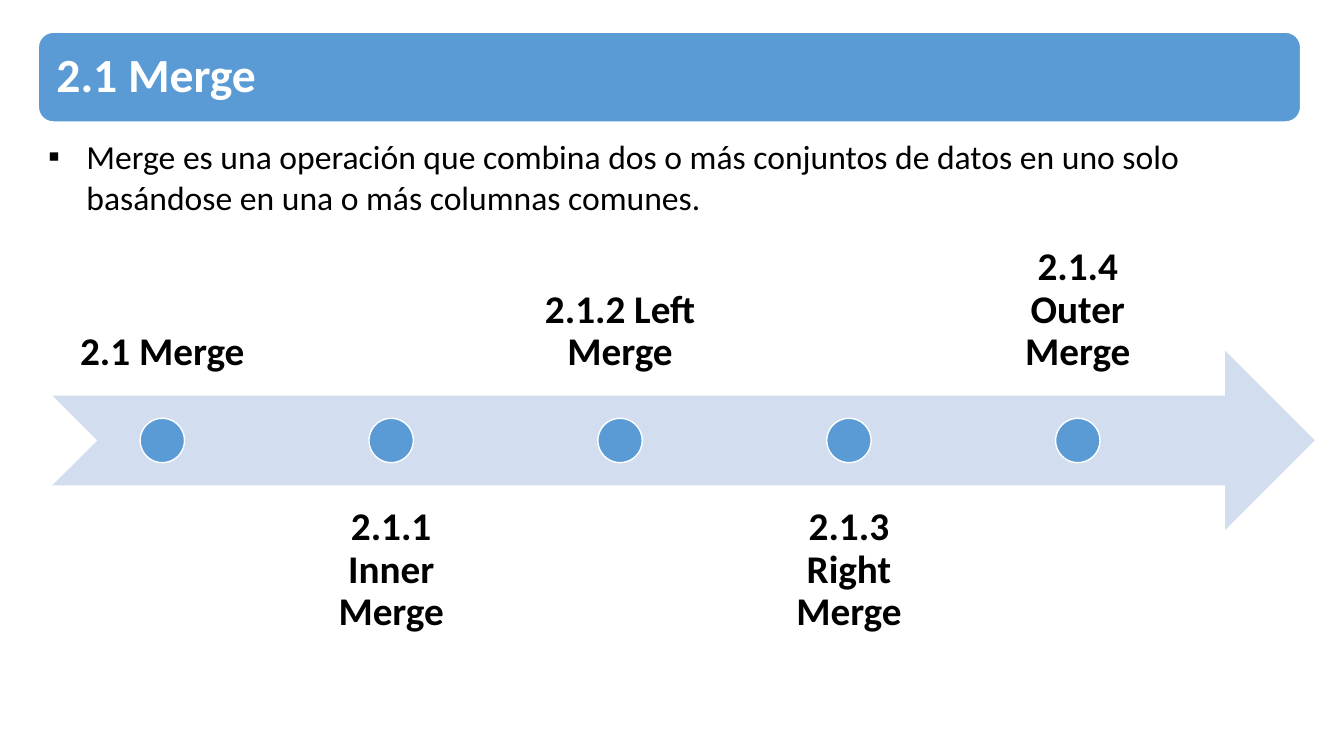
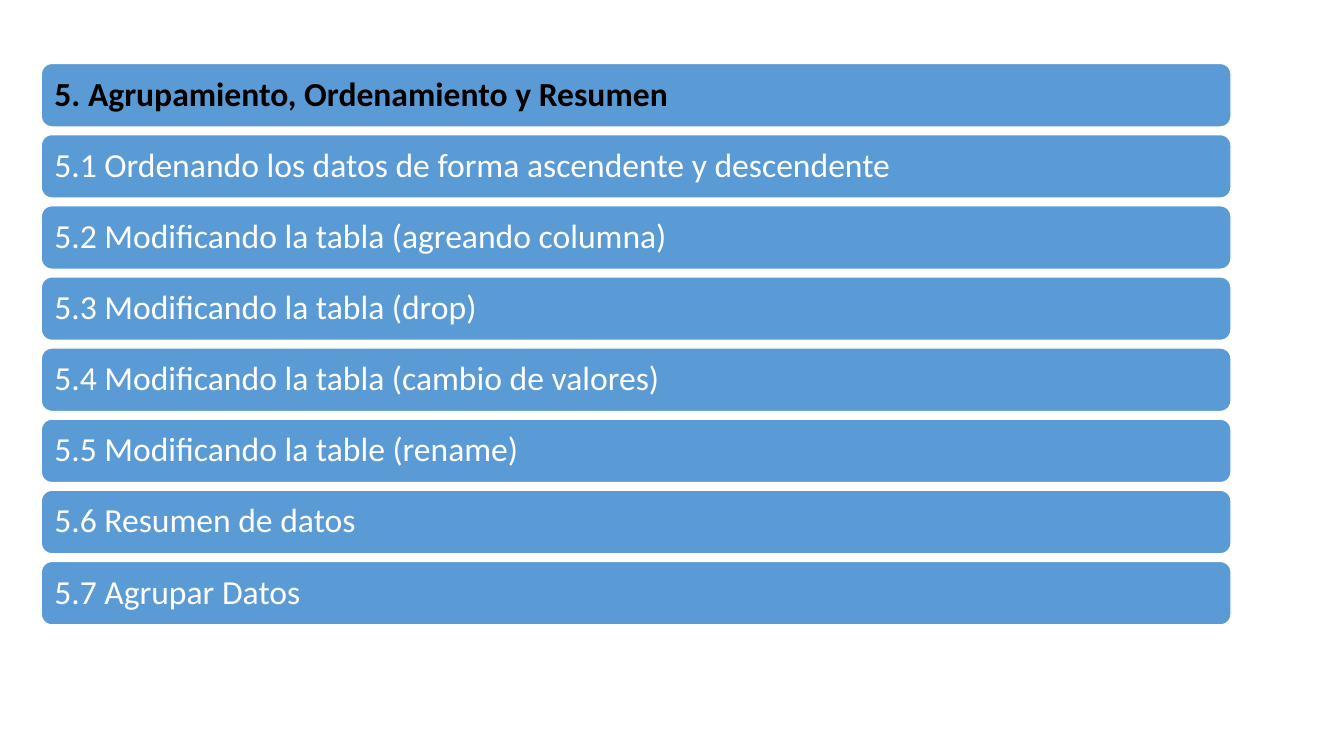
from pptx import Presentation
from pptx.util import Inches, Pt
from pptx.dml.color import RGBColor as RGB
from pptx.enum.shapes import MSO_SHAPE as Shape
from pptx.enum.text import PP_ALIGN as Align, MSO_ANCHOR as Anchor, MSO_AUTO_SIZE as Auto
from pptx.oxml import parse_xml
from pptx.oxml.ns import nsdecls

COLORS = {"blue": "5B9BD5", "pale": "D2DEEF", "white": "FFFFFF", "black": "000000"}
FONT = "Calibri"


class Deck:
    """Holds the shared style and the current slide."""

    def __init__(self):
        self.prs = Presentation()
        self.prs.slide_width, self.prs.slide_height = Inches(13.33), Inches(7.5)

    def add_slide(self):
        self.slide = self.prs.slides.add_slide(self.prs.slide_layouts[5])

    def color(self, name):
        return RGB.from_string(COLORS[name])

    def label(self, item, text, size, color, bold=False, align=Align.LEFT,
              anchor=Anchor.MIDDLE, inset=0.1, space=0.9):
        frame = item.text_frame
        frame.word_wrap, frame.auto_size = True, Auto.NONE
        frame.vertical_anchor = anchor
        frame.margin_left = frame.margin_right = Inches(inset)
        frame.margin_top = frame.margin_bottom = Inches(inset)
        par = frame.paragraphs[0]
        par.alignment, par.line_spacing = align, space
        run = par.add_run()
        run.text = text
        font = run.font
        font.name, font.size, font.bold = FONT, Pt(size), bold
        font.color.rgb = self.color(color)
        return par

    def shape(self, kind, at, fill, edge=True):
        item = self.slide.shapes.add_shape(kind, *map(Inches, at))
        item.shadow.inherit = False
        item.fill.solid()
        item.fill.fore_color.rgb = self.color(fill)
        if edge:
            item.line.color.rgb = self.color("white")
            item.line.width = Pt(1)
        else:
            item.line.fill.background()
        return item

    def bar(self, at):
        return self.shape(Shape.ROUNDED_RECTANGLE, at, "blue")

    def title(self, at, text, size, color, inset):
        """Put the title placeholder in front of its bar."""
        bar = self.bar(at)
        title = self.slide.shapes.title
        title.left, title.top, title.width, title.height = map(Inches, at)
        bar.element.addnext(title.element)
        self.label(title, text, size, color, bold=True, inset=inset)

    def text(self, at, text, size, **style):
        box = self.slide.shapes.add_textbox(*map(Inches, at))
        return self.label(box, text, size, "black", **style)

    def bullet(self, at, text, size):
        par = self.text(at, text, size, anchor=Anchor.TOP, space=1.0)
        props = par._p.get_or_add_pPr()
        props.set("marL", str(Inches(0.38)))
        props.set("indent", str(-Inches(0.38)))
        for tag in ('buFont %s typeface="Arial"', 'buChar %s char="▪"'):
            props.append(parse_xml("<a:" + tag % nsdecls("a") + "/>"))


deck = Deck()

# Merge: title and definition
deck.add_slide()
deck.title((0.38, 0.32, 12.52, 0.89), "2.1 Merge", 34, "white", inset=0.18)
deck.bullet((0.38, 1.25, 12.47, 0.91),
            "Merge es una operación que combina dos o más conjuntos de datos en uno solo "
            "basándose en una o más columnas comunes.", 24)

# Timeline: labels alternate above and below the arrow
deck.shape(Shape.NOTCHED_RIGHT_ARROW, (0.52, 3.48, 12.52, 1.78), "pale", edge=False)
STEPS = ["2.1 Merge", "2.1.1 Inner Merge", "2.1.2 Left Merge",
         "2.1.3 Right Merge", "2.1.4 Outer Merge"]
WIDE, DOT = 2.16, 0.44
for i, step in enumerate(STEPS):
    left = 0.53 + 2.27 * i
    top, anchor = (4.81, Anchor.TOP) if i % 2 else (2.15, Anchor.BOTTOM)
    deck.text((left, top, WIDE, 1.78), step, 28, bold=True,
              align=Align.CENTER, anchor=anchor, inset=0.22)
    deck.shape(Shape.OVAL, (left + (WIDE - DOT) / 2, 4.15, DOT, DOT), "blue")

# Grouping: a title bar and a stack of topic bars
deck.add_slide()
TOPICS = ["5.1 Ordenando los datos de forma ascendente y descendente",
          "5.2 Modificando la tabla (agreando columna)",
          "5.3 Modificando la tabla (drop)",
          "5.4 Modificando la tabla (cambio de valores)",
          "5.5 Modificando la table (rename)",
          "5.6 Resumen de datos",
          "5.7 Agrupar Datos"]
LEFT, TOP, WIDTH, HEIGHT = 0.41, 0.63, 11.8, 0.63
PITCH = 4.94 / len(TOPICS)
deck.title((LEFT, TOP, WIDTH, HEIGHT), "5. Agrupamiento, Ordenamiento y Resumen",
           24, "black", inset=0.13)
for i, topic in enumerate(TOPICS, 1):
    bar = deck.bar((LEFT, TOP + PITCH * i, WIDTH, HEIGHT))
    deck.label(bar, topic, 24, "white")

deck.prs.save("out.pptx")
